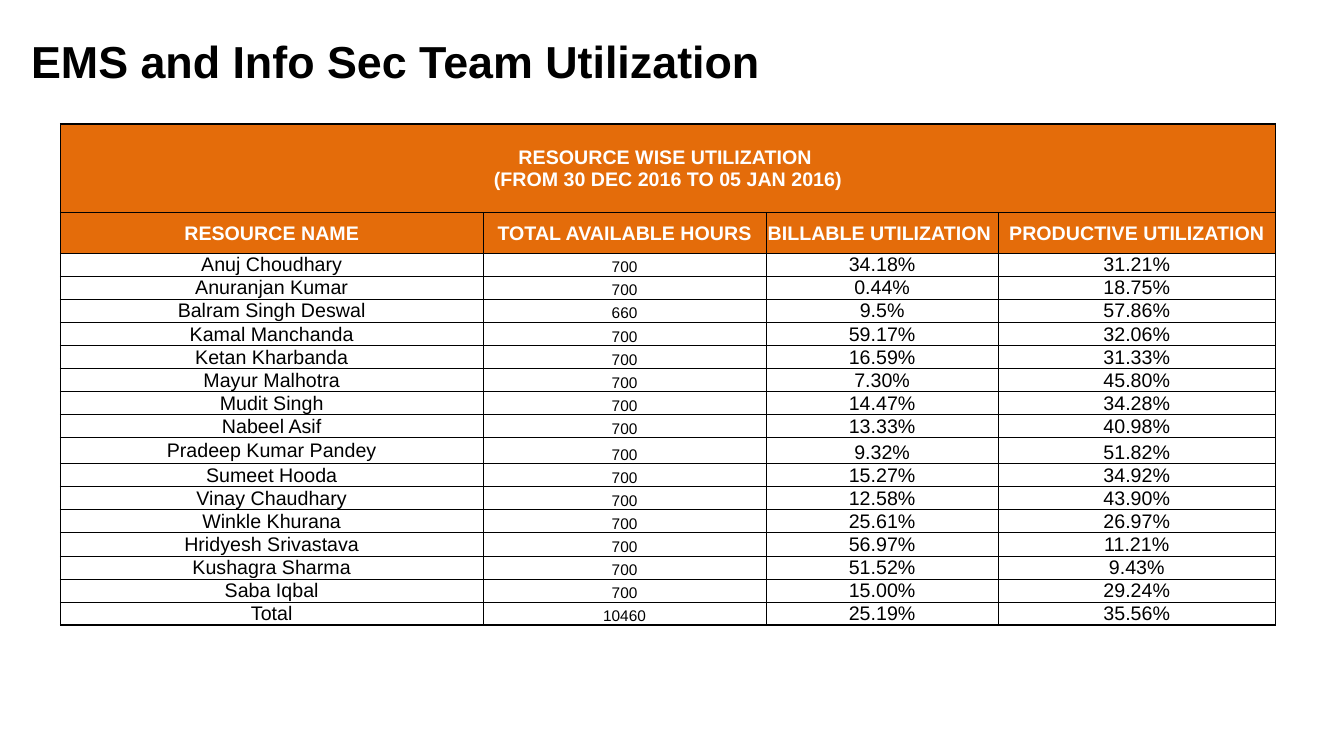
from lxml.etree import SubElement
from pptx import Presentation
from pptx.dml.color import RGBColor
from pptx.enum.text import MSO_ANCHOR as Anchor, PP_ALIGN as Align
from pptx.oxml.ns import qn
from pptx.util import Emu, Pt

BLACK = RGBColor(0x00, 0x00, 0x00)
WHITE = RGBColor(0xFF, 0xFF, 0xFF)
ORANGE = RGBColor(0xE4, 0x6C, 0x0A)
THIN, THICK = 0.5, 1

COLUMN_WIDTHS = [419, 281, 230, 275]
BANNER_HEIGHT, HEADING_HEIGHT, ROW_HEIGHT = 88, 40, 19
TALL_ROWS = {"Pradeep Kumar Pandey": 26, "Total": 20}

BANNER = "RESOURCE WISE UTILIZATION \v(FROM 30 DEC 2016 TO 05 JAN 2016)"
HEADINGS = ["RESOURCE NAME", "TOTAL AVAILABLE HOURS",
            "BILLABLE UTILIZATION ", "PRODUCTIVE UTILIZATION"]
RESOURCES = [
    ("Anuj Choudhary", "700", "34.18%", "31.21%"),
    ("Anuranjan Kumar", "700", "0.44%", "18.75%"),
    ("Balram Singh Deswal", "660", "9.5%", "57.86%"),
    ("Kamal Manchanda", "700", "59.17%", "32.06%"),
    ("Ketan Kharbanda", "700", "16.59%", "31.33%"),
    ("Mayur Malhotra", "700", "7.30%", "45.80%"),
    ("Mudit Singh", "700", "14.47%", "34.28%"),
    ("Nabeel Asif", "700", "13.33%", "40.98%"),
    ("Pradeep Kumar Pandey", "700", "9.32%", "51.82%"),
    ("Sumeet Hooda", "700", "15.27%", "34.92%"),
    ("Vinay Chaudhary", "700", "12.58%", "43.90%"),
    ("Winkle Khurana", "700", "25.61%", "26.97%"),
    ("Hridyesh Srivastava", "700", "56.97%", "11.21%"),
    ("Kushagra Sharma", "700", "51.52%", "9.43%"),
    ("Saba Iqbal", "700", "15.00%", "29.24%"),
    ("Total", "10460", "25.19%", "35.56%"),
]


def px(length):
    """Convert px, at 100 to the inch, into EMU."""
    return Emu(length * 9144)


def write(frame, text, size=14, color=BLACK, bold=False, align=Align.CENTER, font="Arial"):
    paragraph = frame.paragraphs[0]
    paragraph.text = text
    paragraph.alignment = align
    for run in paragraph.runs:
        run.font.name = font
        run.font.size = Pt(size)
        run.font.bold = bold
        run.font.color.rgb = color


class SlideBuilder:
    def __init__(self, slide):
        self.slide = slide

    def title(self, text, left, top, width, height):
        box = self.slide.shapes.add_textbox(*map(px, (left, top, width, height)))
        box.text_frame.word_wrap = True
        write(box.text_frame, text, size=32, bold=True, align=Align.LEFT)

    def table(self, left, top, widths, heights):
        area = map(px, (left, top, sum(widths), sum(heights)))
        table = self.slide.shapes.add_table(len(heights), len(widths), *area).table
        table.first_row = table.horz_banding = False
        for column, width in zip(table.columns, widths):
            column.width = px(width)
        for row, height in zip(table.rows, heights):
            row.height = px(height)
        return table

    def cell(self, cell, text, fill=None, anchor=Anchor.MIDDLE, **style):
        cell.margin_left = cell.margin_right = cell.margin_top = px(1)
        cell.margin_bottom = 0
        cell.vertical_anchor = anchor
        write(cell.text_frame, text, **style)
        if fill is None:
            cell.fill.background()
        else:
            cell.fill.solid()
            cell.fill.fore_color.rgb = fill

    def borders(self, cell, **widths):
        properties = cell._tc.get_or_add_tcPr()
        for place, side in enumerate("LRTB"):
            line = SubElement(properties, qn(f"a:ln{side}"), w=str(Pt(widths.get(side, THIN))))
            solid = SubElement(line, qn("a:solidFill"))
            SubElement(solid, qn("a:srgbClr"), val=str(BLACK))
            properties.insert(place, line)  # lines come before the fill


def main():
    prs = Presentation()
    prs.slide_width, prs.slide_height = px(1333), px(750)
    builder = SlideBuilder(prs.slides.add_slide(prs.slide_layouts[6]))

    # Utilization table
    heights = [BANNER_HEIGHT, HEADING_HEIGHT]
    heights += [TALL_ROWS.get(resource[0], ROW_HEIGHT) for resource in RESOURCES]
    utilization = builder.table(60, 123, COLUMN_WIDTHS, heights)

    # Banner and column headings
    heading_style = dict(fill=ORANGE, color=WHITE, bold=True)
    utilization.cell(0, 0).merge(utilization.cell(0, 3))
    builder.cell(utilization.cell(0, 0), BANNER, **heading_style)
    for col, heading in enumerate(HEADINGS):
        builder.cell(utilization.cell(1, col), heading, **heading_style)

    # One row per resource, with the hours in smaller type
    for row, resource in enumerate(RESOURCES, start=2):
        for col, value in enumerate(resource):
            builder.cell(utilization.cell(row, col), value,
                         anchor=Anchor.BOTTOM if col else Anchor.MIDDLE,
                         size=11 if col == 1 else 14)

    # Thin grid with a thicker outer edge
    last_row, last_col = len(heights) - 1, len(COLUMN_WIDTHS) - 1
    for row in range(last_row + 1):
        for col in range(last_col + 1):
            builder.borders(utilization.cell(row, col),
                            L=THICK if col == 0 else THIN,
                            R=THICK if row == 0 else THIN,
                            T=THICK if row == 0 else THIN,
                            B=THICK if row == last_row else THIN)

    # Slide title
    builder.title("EMS and Info Sec Team Utilization", 21, 29, 1142, 64)

    prs.save("out.pptx")


if __name__ == "__main__":
    main()
